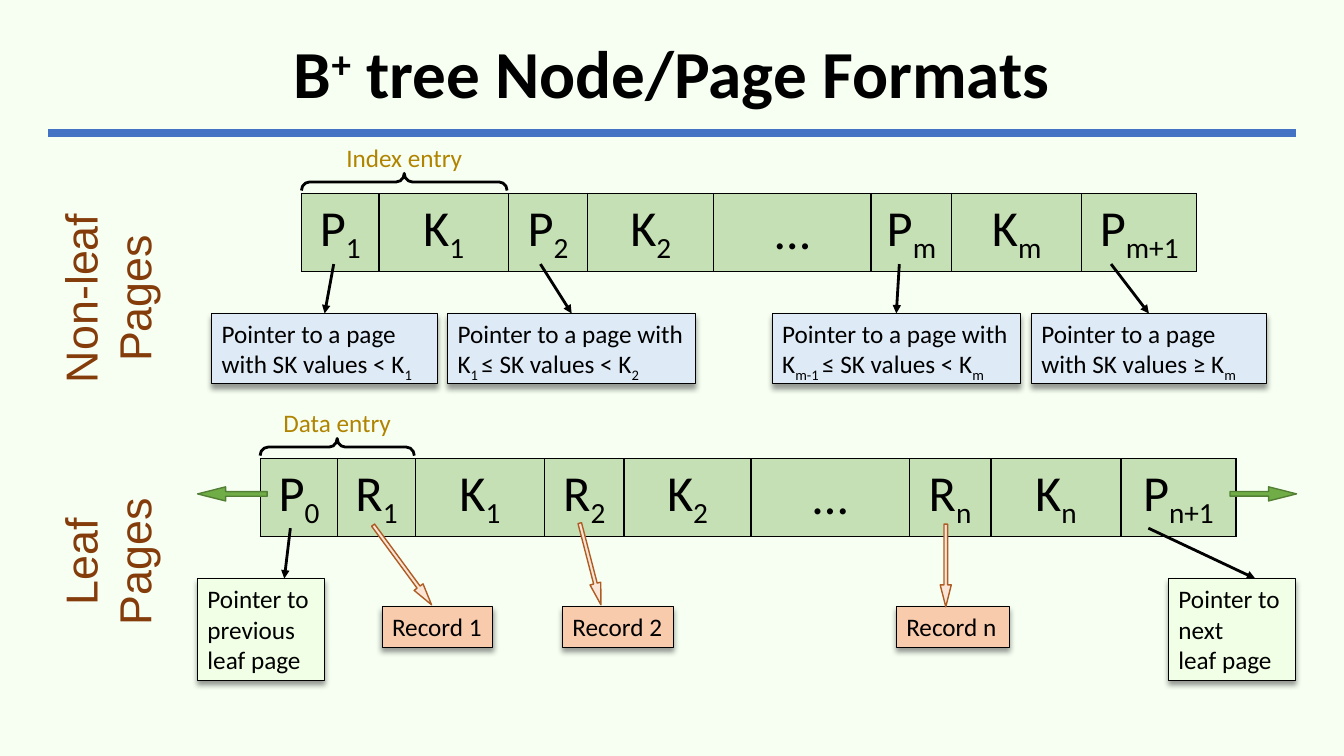
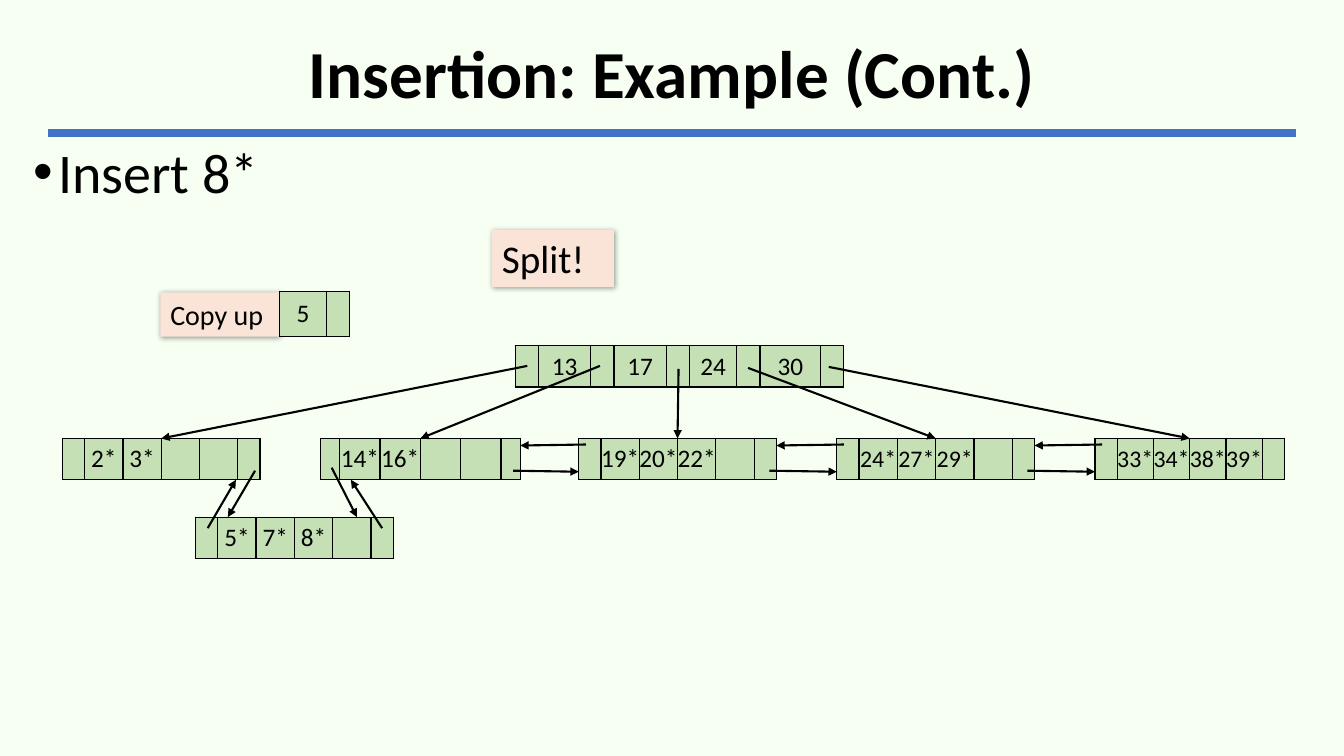
import itertools
import math
from dataclasses import dataclass

import lxml.etree
import pptx
import pptx.dml.color
import pptx.enum.shapes
import pptx.enum.text
import pptx.oxml.ns
import pptx.util

Inches = pptx.util.Inches
Pt = pptx.util.Pt
RGB = pptx.dml.color.RGBColor.from_string
qn = pptx.oxml.ns.qn
SHAPES = pptx.enum.shapes.MSO_SHAPE
ALIGN = pptx.enum.text.PP_ALIGN
ANCHOR = pptx.enum.text.MSO_ANCHOR
Point = tuple[float, float]


@dataclass(frozen=True)
class Theme:
    background: str = "F7FFF3"
    rule: str = "4472C4"
    ink: str = "000000"
    cell: str = "C5E0B4"
    page_note: str = "DEEBF7"
    leaf_note: str = "F0FFE6"
    record: str = "F8CBAD"
    step: str = "FAE4D7"
    side_label: str = "843C0B"
    entry_label: str = "B08400"
    sibling_arrow: tuple[str, str] = ("70AD47", "538035")
    record_arrow: tuple[str, str] = ("FBE5D6", "AF5C24")
    font: str = "Calibri"
    side_font: str = "Arial"
    title_size: float = 48
    bullet_size: float = 40
    field_size: float = 36
    side_size: float = 32
    split_size: float = 28
    copy_size: float = 20
    note_size: float = 18
    tight_size: float = 17


THEME = Theme()


@dataclass(frozen=True)
class Box:
    left: float
    top: float
    width: float
    height: float

    def lengths(self) -> tuple:
        return tuple(Inches(n) for n in (self.left, self.top, self.width, self.height))


@dataclass(frozen=True)
class Style:
    size: float = THEME.note_size
    color: str = THEME.ink
    font: str = THEME.font
    align: int = ALIGN.LEFT
    bold: bool = False
    script: int = -25000


@dataclass(frozen=True)
class PageNote:
    text: str
    left: float
    width: float
    arrow_x: float


@dataclass(frozen=True)
class Record:
    label: str
    left: float
    width: float
    arrow_start: Point
    arrow_end: Point


@dataclass(frozen=True)
class Leaf:
    left: float
    keys: tuple[str, ...]
    edge: float = 0.22
    slot: float = 0.38
    size: float = THEME.note_size
    top: float = 4.35

    @property
    def columns(self) -> list[float]:
        return [self.edge, *[self.slot] * 4, self.edge]

    @property
    def right(self) -> float:
        return self.left + sum(self.columns)

    @property
    def middle(self) -> float:
        return (self.left + self.right) / 2


def write(frame, text: str, style: Style) -> None:
    """Write one paragraph per line; every second part between bars is raised or lowered."""
    frame.word_wrap = True
    for number, line in enumerate(text.split("\n")):
        paragraph = frame.add_paragraph() if number else frame.paragraphs[0]
        for index, part in enumerate(line.split("|")):
            run = paragraph.add_run()
            run.text = part
            if index % 2:
                run._r.get_or_add_rPr().set("baseline", str(style.script))
        paragraph.alignment = style.align
        paragraph.font.name = style.font
        paragraph.font.size = Pt(style.size)
        paragraph.font.bold = style.bold
        paragraph.font.color.rgb = RGB(style.color)


def add_text(slide, box: Box, text: str, style: Style, rotation: float = 0):
    label = slide.shapes.add_textbox(*box.lengths())
    label.rotation = rotation
    write(label.text_frame, text, style)
    return label


def add_line(slide, start: Point, end: Point, width: float,
             color: str = THEME.ink, arrow: bool = True):
    line = slide.shapes.add_connector(pptx.enum.shapes.MSO_CONNECTOR.STRAIGHT,
                                      *(Inches(n) for n in (*start, *end)))
    line.line.color.rgb = RGB(color)
    line.line.width = Pt(width)
    properties = line._element.spPr
    if arrow:
        lxml.etree.SubElement(properties.find(qn("a:ln")), qn("a:tailEnd"), type="triangle")
    lxml.etree.SubElement(properties, qn("a:effectLst"))
    return line


def add_preset(slide, preset, box: Box, fill: str | None, outline: str | None, width: float):
    shape = slide.shapes.add_shape(preset, *box.lengths())
    shape.shadow.inherit = False
    if fill:
        shape.fill.solid()
        shape.fill.fore_color.rgb = RGB(fill)
    else:
        shape.fill.background()
    if outline:
        shape.line.color.rgb = RGB(outline)
        shape.line.width = Pt(width)
    else:
        shape.line.fill.background()
    return shape


def add_note(slide, box: Box, text: str, fill: str, size: float = THEME.note_size,
             outline: str | None = THEME.ink, distance: float = 3, direction: int = 90):
    """Add a text rectangle with a soft shadow."""
    note = add_preset(slide, SHAPES.RECTANGLE, box, fill, outline, 0.75)
    shadow = lxml.etree.SubElement(
        note._element.spPr.find(qn("a:effectLst")), qn("a:outerShdw"), blurRad=str(Pt(4)),
        dist=str(Pt(distance)), dir=str(direction * 60000), algn="t", rotWithShape="0")
    color = lxml.etree.SubElement(shadow, qn("a:srgbClr"), val=THEME.ink)
    lxml.etree.SubElement(color, qn("a:alpha"), val="40000")
    note.text_frame.vertical_anchor = ANCHOR.TOP
    write(note.text_frame, text, Style(size))
    return note


def add_block_arrow(slide, start: Point, end: Point, thickness: float,
                    colors: tuple[str, str]) -> None:
    dx, dy = end[0] - start[0], end[1] - start[1]
    length = math.hypot(dx, dy)
    box = Box((start[0] + end[0] - length) / 2, (start[1] + end[1] - thickness) / 2,
              length, thickness)
    arrow = add_preset(slide, SHAPES.RIGHT_ARROW, box, *colors, 1)
    arrow.rotation = math.degrees(math.atan2(dy, dx)) % 360
    arrow.adjustments[0], arrow.adjustments[1] = 0.33, 1.98


def add_entry_brace(slide, left: float, top: float, span: float, text: str) -> None:
    depth, label_width = 0.17, 1.4
    middle = left + span / 2
    box = Box(middle - depth / 2, top + (depth - span) / 2, depth, span)
    brace = add_preset(slide, SHAPES.RIGHT_BRACE, box, None, THEME.ink, 2)
    brace.rotation = 270
    brace.adjustments[0], brace.adjustments[1] = 0.47, 0.5
    add_text(slide, Box(middle - label_width / 2, top - 0.36, label_width, 0.4), text,
             Style(color=THEME.entry_label, align=ALIGN.CENTER))


def add_fields(slide, left: float, top: float, height: float, columns: list[float],
               texts: list[str], size: float = THEME.note_size) -> None:
    """Add a one-row table; columns beyond the texts stay empty."""
    table = slide.shapes.add_table(
        1, len(columns), *Box(left, top, sum(columns), height).lengths()).table
    table.first_row = table.horz_banding = False
    table.rows[0].height = Inches(height)
    fields = itertools.zip_longest(table.columns, columns, table.rows[0].cells, texts)
    for column, width, cell, text in fields:
        column.width = Inches(width)
        cell.margin_left = cell.margin_right = cell.margin_top = cell.margin_bottom = 0
        cell.vertical_anchor = ANCHOR.MIDDLE
        cell.fill.solid()
        cell.fill.fore_color.rgb = RGB(THEME.cell)
        for place, side in enumerate(("lnL", "lnR", "lnT", "lnB")):
            border = lxml.etree.Element(qn(f"a:{side}"), w=str(Pt(1)))
            fill = lxml.etree.SubElement(border, qn("a:solidFill"))
            lxml.etree.SubElement(fill, qn("a:srgbClr"), val=THEME.ink)
            cell._tc.get_or_add_tcPr().insert(place, border)
        if text:
            write(cell.text_frame, text, Style(size, align=ALIGN.CENTER))


def add_titled_slide(deck, title: str):
    slide = deck.slides.add_slide(deck.slide_layouts[6])
    slide.background.fill.solid()
    slide.background.fill.fore_color.rgb = RGB(THEME.background)
    add_line(slide, (0.48, 1.32), (12.85, 1.32), 6, THEME.rule, arrow=False)
    heading = add_text(slide, Box(0.48, 0.24, 12.37, 1.04), title,
                       Style(THEME.title_size, align=ALIGN.CENTER, bold=True, script=30000))
    heading.text_frame.vertical_anchor = ANCHOR.MIDDLE
    heading.text_frame.paragraphs[0].line_spacing = 0.9
    return slide


def build_formats(deck) -> None:
    slide = add_titled_slide(deck, "B|+| tree Node/Page Formats")
    add_fields(slide, 2.99, 1.92, 0.77, [0.77, 1.28, 0.79, 1.25, 1.56, 0.8, 1.29, 1.14],
               ["P|1", "K|1", "P|2", "K|2", "…", "P|m", "K|m", "P|m+1"], THEME.field_size)
    add_fields(slide, 2.58, 4.55, 0.77, [0.77, 0.77, 1.28, 0.79, 1.26, 1.57, 0.81, 1.29, 1.14],
               ["P|0", "R|1", "K|1", "R|2", "K|2", "…", "R|n", "K|n", "P|n+1"],
               THEME.field_size)
    side = Style(THEME.side_size, THEME.side_label, THEME.side_font, ALIGN.CENTER)
    for top, text in ((2.37, "Non-leaf Pages"), (4.98, "Leaf\nPages")):
        add_text(slide, Box(-0.12, top, 2.37, 1.18), text, side, 270)

    for page in (
        PageNote("Pointer to a page with SK values < K|1", 2.1, 2.24, 3.31),
        PageNote("Pointer to a page with K|1 |≤ SK values < K|2", 4.44, 2.46, 5.36),
        PageNote("Pointer to a page with K|m-1 |≤ SK values < K|m", 7.66, 2.46, 8.92),
        PageNote("Pointer to a page with SK values ≥ K|m", 10.23, 2.33, 11.02),
    ):
        note = add_note(slide, Box(page.left, 3.11, page.width, 0.7), page.text,
                        THEME.page_note)
        pointer = add_line(slide, (page.arrow_x, 2.62),
                           (page.left + page.width / 2, 3.11), 2)
        pointer.end_connect(note, 0)

    for left, text, start, end in (
        (1.96, "Pointer to previous leaf page", 2.88, 2.82),
        (11.59, "Pointer to next\nleaf page", 11.39, 12.45),
    ):
        add_note(slide, Box(left, 5.74, 1.26, 1.01), text, THEME.leaf_note)
        add_line(slide, (start, 5.24), (end, 5.74), 2)
    for start, end in ((12.2, 12.86), (2.65, 1.96)):
        add_block_arrow(slide, (start, 4.9), (end, 4.9), 0.14, THEME.sibling_arrow)

    for record in (
        Record("Record 1", 3.79, 1.1, (3.7, 5.21), (4.28, 6)),
        Record("Record 2", 5.58, 1.1, (5.75, 5.19), (5.96, 6)),
        Record("Record n", 8.89, 1.12, (9.38, 5.2), (9.38, 6.02)),
    ):
        add_note(slide, Box(record.left, 6.02, record.width, 0.4), record.label, THEME.record)
        add_block_arrow(slide, record.arrow_start, record.arrow_end, 0.11, THEME.record_arrow)
    add_entry_brace(slide, 2.99, 1.72, 2.04, "Index entry")
    add_entry_brace(slide, 2.58, 4.35, 1.53, "Data entry")


def build_insertion(deck) -> None:
    slide = add_titled_slide(deck, "Insertion: Example (Cont.)")
    task = add_text(slide, Box(0.23, 1.32, 12.21, 0.8), "", Style(THEME.bullet_size))
    bullet = task.text_frame.paragraphs[0]._p.get_or_add_pPr()
    bullet.set("marL", str(Inches(0.25)))
    bullet.set("indent", str(-Inches(0.25)))
    for place, element in enumerate((lxml.etree.Element(qn("a:buFont"), typeface="Arial"),
                                     lxml.etree.Element(qn("a:buChar"), char="•"))):
        bullet.insert(place, element)
    task.text_frame.paragraphs[0].runs[0].text = "Insert 8*"

    add_fields(slide, 5.11, 3.43, 0.41, [0.23, 0.52, 0.23, 0.52, 0.23, 0.47, 0.23, 0.6, 0.23],
               ["", "13", "", "17", "", "24", "", "30"])
    pitch = 2.56
    leaves = [
        Leaf(0.62, ("2*", "3*")),
        Leaf(0.62 + pitch, ("14*", "16*"), edge=0.19, slot=0.4),
        Leaf(0.62 + 2 * pitch, ("19*", "20*", "22*")),
        Leaf(0.62 + 3 * pitch, ("24*", "27*", "29*"), size=THEME.tight_size),
        Leaf(0.62 + 4 * pitch, ("33*", "34*", "38*", "39*"), slot=0.36, size=THEME.tight_size),
    ]
    split_leaf = Leaf(1.94, ("5*", "7*", "8*"), top=5.13)
    for leaf in (*leaves, split_leaf):
        add_fields(slide, leaf.left, leaf.top, 0.41, leaf.columns, ["", *leaf.keys], leaf.size)

    root_pointers = ((5.23, 3.63), (5.95, 3.63), (6.73, 3.66), (7.42, 3.65), (8.22, 3.64))
    for start, leaf in zip(root_pointers, leaves):
        add_line(slide, start, (leaf.middle, leaf.top), 1.5)
    for before, after in itertools.pairwise(leaves[1:]):
        add_line(slide, (after.left + 0.07, 4.41), (before.right, 4.42), 1.5)
        add_line(slide, (before.right - 0.07, 4.67), (after.left, 4.68), 1.5)
    for start, end in (((3.29, 4.64), (3.54, 5.13)), ((2.53, 4.67), (2.26, 5.13)),
                       ((2.06, 5.24), (2.34, 4.76)), ((3.79, 5.24), (3.48, 4.76))):
        add_line(slide, start, end, 1.5)

    for box, text, size in ((Box(1.59, 2.9, 1.18, 0.44), "Copy up", THEME.copy_size),
                            (Box(4.88, 2.28, 1.21, 0.57), "Split!", THEME.split_size)):
        add_note(slide, box, text, THEME.step, size, None, 1, 45)
    add_fields(slide, 2.77, 2.89, 0.45, [0.47, 0.23], ["5"])


def main() -> None:
    deck = pptx.Presentation()
    deck.slide_width, deck.slide_height = Inches(13.33), Inches(7.5)
    build_formats(deck)
    build_insertion(deck)
    deck.save("out.pptx")


if __name__ == "__main__":
    main()
